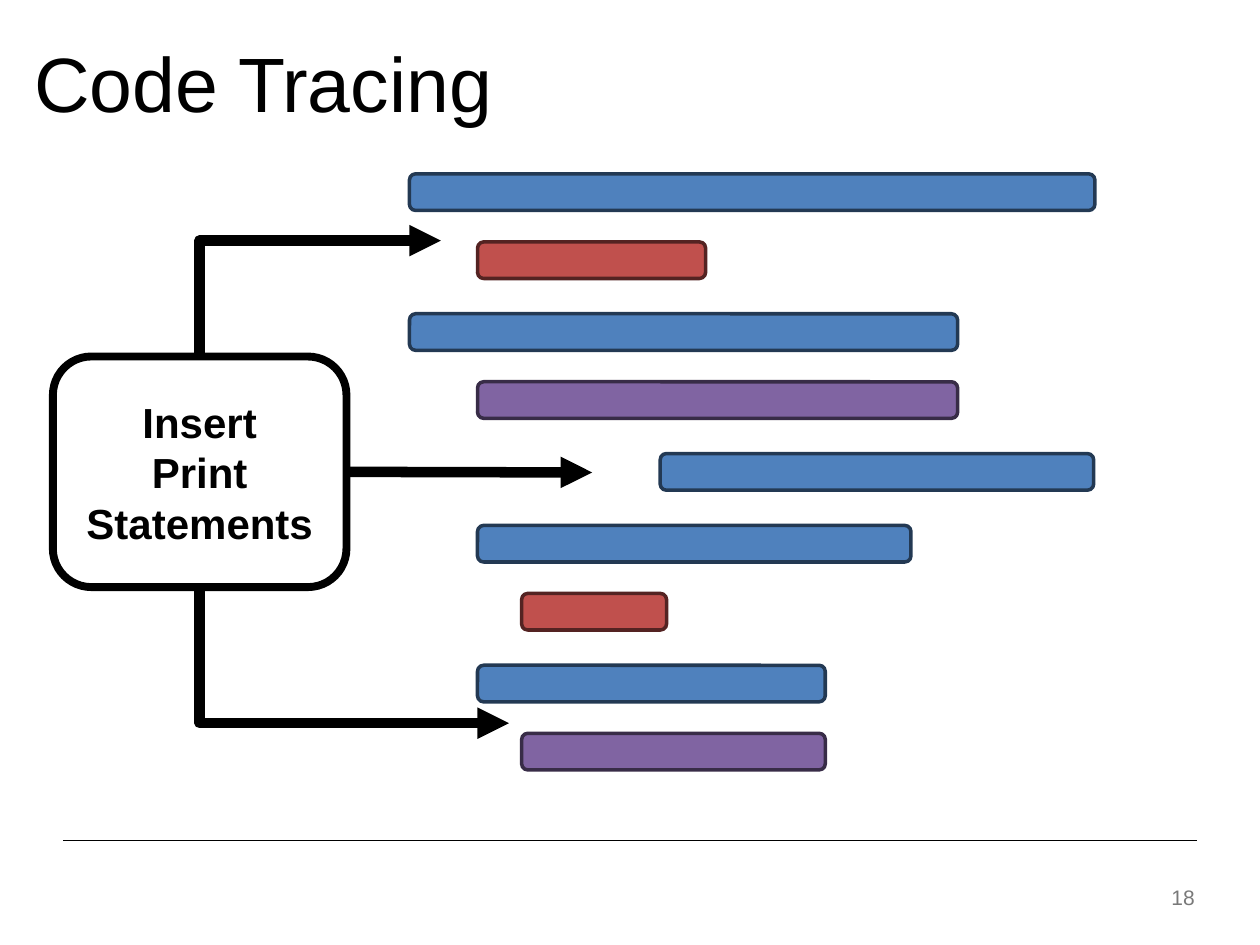
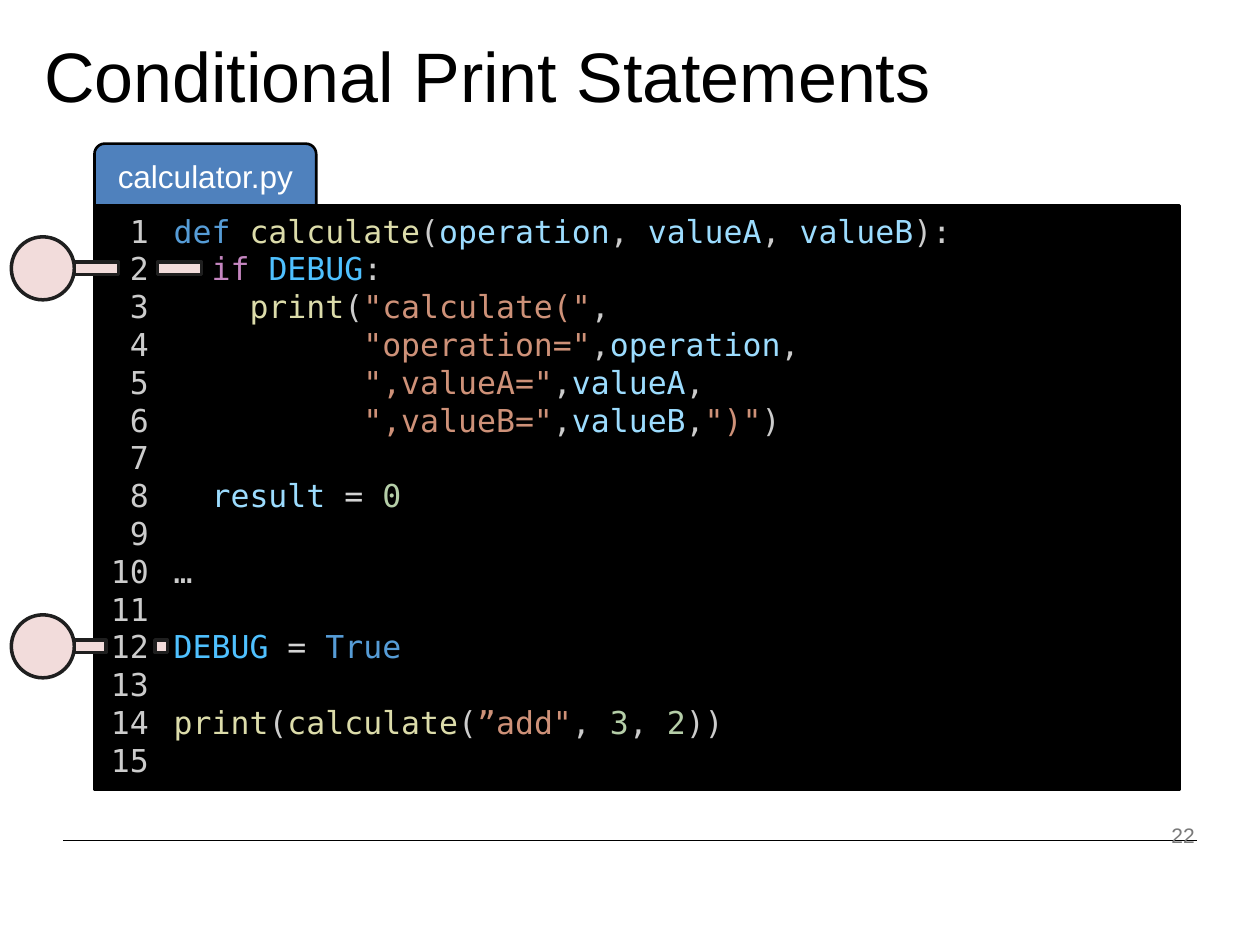
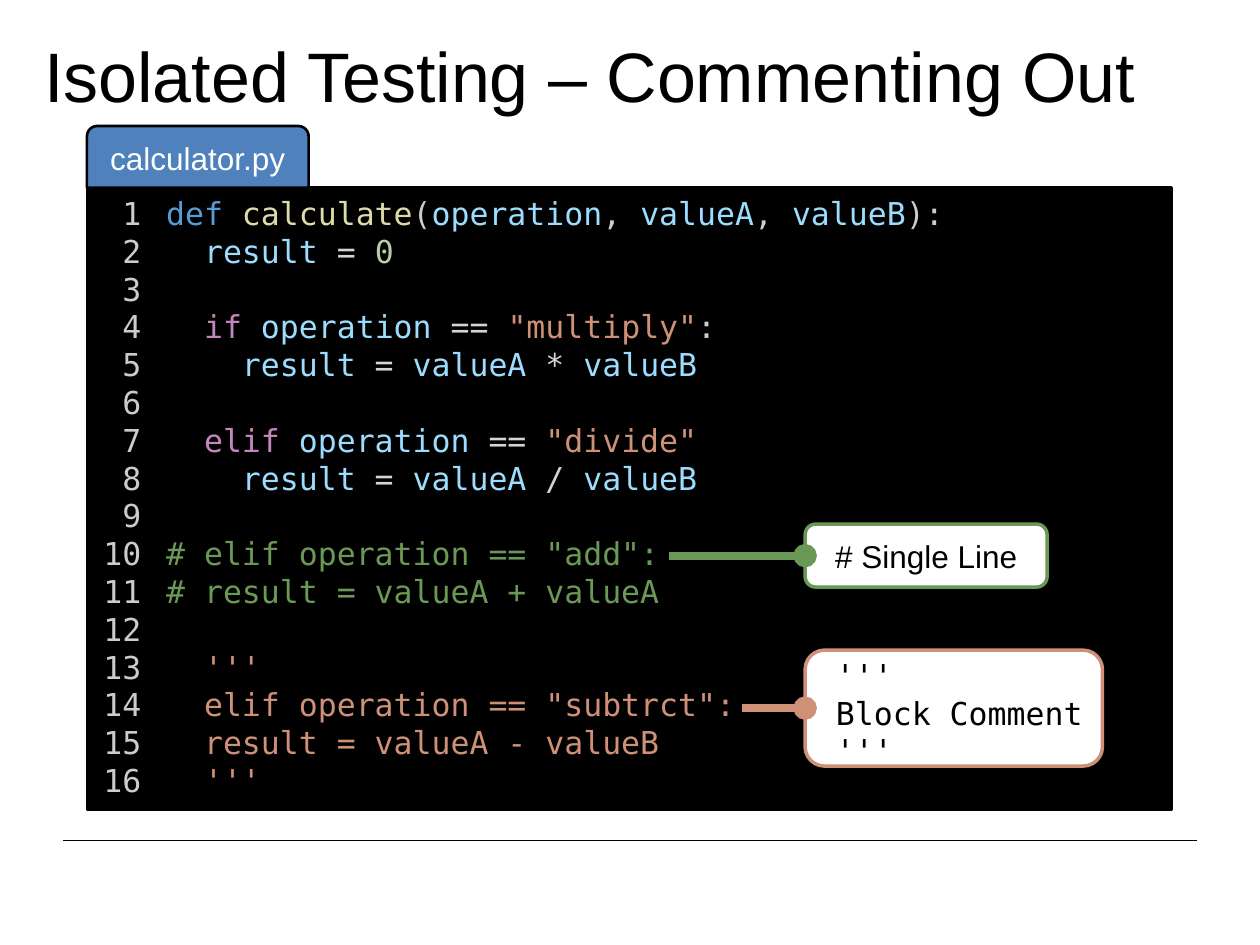
from dataclasses import dataclass

from lxml import etree
from pptx import Presentation
from pptx import util as u
from pptx.dml import color
from pptx.enum import shapes, text
from pptx.oxml import ns


@dataclass(frozen=True)
class Theme:
    sans: str = "Arial"
    mono: str = "DejaVu Sans Mono"
    black: str = "000000"
    white: str = "FFFFFF"
    blue: str = "4F81BD"
    number: str = "797979"
    pin: str = "F2DCDB"
    pin_edge: str = "1F1F1F"
    body_size: int = 18
    note_size: int = 24
    number_size: int = 12
    leading: float = 1.2


THEME = Theme()
SHAPE = shapes.MSO_SHAPE
ALIGN = text.PP_ALIGN
ANCHOR = text.MSO_ANCHOR

BAR_COLOURS = {
    "blue": (THEME.blue, "233953"),
    "red": ("C0504D", "542322"),
    "purple": ("8064A2", "382C47"),
}
SYNTAX = {
    "keyword": "569CD6", "function": "DCDCAA", "plain": "CCCCCC",
    "name": "9CDCFE", "flow": "C586C0", "constant": "4FC1FF",
    "string": "CE9178", "operator": "D4D4D4", "value": "B5CEA8",
    "comment": "6A9955",
}

TRACED_BARS = [
    ("blue", 3.25, 5.44), ("red", 3.79, 1.81), ("blue", 3.25, 4.35),
    ("purple", 3.79, 3.81), ("blue", 5.24, 3.44), ("blue", 3.79, 3.44),
    ("red", 4.14, 1.15), ("blue", 3.79, 2.76), ("purple", 4.14, 2.41),
]
BAR_TOP, BAR_HEIGHT, CHILD_STEP, NEXT_STEP = 1.38, 0.29, 0.54, 0.57
PRINT_BOX = (0.42, 2.83, 2.33, 1.83)
PRINT_ARROWS = [(3.5, 1.91, 0), (4.04, 5.74, 2), (4.7, 3.75, 3)]
ELBOW_SIDES = (0, 2)

SIGNATURE = [
    ("keyword", "def "), ("function", "calculate"), ("plain", "("),
    ("name", "operation"), ("plain", ", "), ("name", "valueA"),
    ("plain", ", "), ("name", "valueB"), ("plain", "):"),
]
RESULT_ZERO = [("name", "  result "), ("operator", "= "), ("value", "0")]


def argument(label, name):
    return [("string", f'          "{label}="'), ("plain", ","),
            ("name", name), ("plain", ",")]


def branch(keyword, operation):
    return [("flow", f"  {keyword} "), ("name", "operation "),
            ("operator", "== "), ("string", f'"{operation}"')]


def assign(symbol):
    return [("name", "    result "), ("operator", "= "), ("name", "valueA "),
            ("operator", f"{symbol} "), ("name", "valueB")]


DEBUG_CODE = [
    SIGNATURE,
    [("flow", "  if "), ("constant", "DEBUG"), ("plain", ":")],
    [("function", "    print"), ("plain", "("), ("string", '"calculate("'),
     ("plain", ",")],
    argument("operation", "operation"),
    argument(",valueA", "valueA"),
    argument(",valueB", "valueB") + [("string", '")"'), ("plain", ")")],
    [],
    RESULT_ZERO,
    [],
    [("plain", "…")],
    [],
    [("constant", "DEBUG "), ("operator", "= "), ("keyword", "True")],
    [],
    [("function", "print"), ("plain", "("), ("function", "calculate"),
     ("plain", "("), ("string", '”add"'), ("plain", ", "), ("value", "3"),
     ("plain", ", "), ("value", "2"), ("plain", "))")],
    [],
]
PIN_BARS = {2: [(0.59, 0.35), (1.25, 0.35)], 12: [(0.59, 0.25), (1.23, 0.1)]}
PIN_LEFT, PIN_SIZE, PIN_BAR = 0.09, 0.5, 0.1

COMMENT_CODE = [
    SIGNATURE,
    RESULT_ZERO,
    [],
    branch("if", "multiply") + [("plain", ":")],
    assign("*"),
    [],
    branch("elif", "divide"),
    assign("/"),
    [],
    [("comment", '# elif operation == "add":')],
    [("comment", "# result = valueA + valueA")],
    [],
    [("string", "  '''")],
    [("string", '  elif operation == "subtrct":')],
    [("string", "  result = valueA - valueB")],
    [("string", "  '''")],
]

ROW, INSET = 0.3, 0.05
NUMBER_WIDTH, CODE_WIDTH, TAB_WIDTH, TAB_HEIGHT = 0.53, 8.08, 1.76, 0.49


def inches(values):
    return [u.Inches(value) for value in values]


def rgb(value):
    return color.RGBColor.from_string(value)


def style(font, size, colour, name=THEME.sans, bold=False):
    font.name, font.size, font.bold = name, u.Pt(size), bold
    font.color.rgb = rgb(colour)


def add_box(slide, kind, at, fill, edge, width):
    box = slide.shapes.add_shape(kind, *inches(at))
    box.shadow.inherit = False
    box.fill.solid()
    box.fill.fore_color.rgb = rgb(fill)
    box.line.color.rgb = rgb(edge)
    box.line.width = u.Pt(width)
    return box


def write(frame, lines, size, colour, name=THEME.sans, align=ALIGN.CENTER,
          anchor=ANCHOR.MIDDLE, bold=False):
    frame.word_wrap = True
    frame.vertical_anchor = anchor
    frame.text = "\n".join(lines)
    for para in frame.paragraphs:
        para.alignment = align
        if len(lines) > 1:
            para.line_spacing = u.Pt(size * THEME.leading)
        for span in para.runs:
            style(span.font, size, colour, name, bold)


def write_code(frame, lines):
    frame.word_wrap = True
    frame.vertical_anchor = ANCHOR.TOP
    para, blanks = frame.paragraphs[0], 0
    for index, line in enumerate(lines):
        if not line:
            blanks += 1
            continue
        if index:
            para = frame.add_paragraph()
        para.alignment = ALIGN.LEFT
        leading = THEME.body_size * THEME.leading
        para.line_spacing = u.Pt(leading)
        para.space_before = u.Pt(blanks * leading)
        blanks = 0
        for role, words in line:
            span = para.add_run()
            span.text = words
            style(span.font, THEME.body_size, SYNTAX[role], THEME.mono)


def add_line(slide, start, end, colour, width, ends=(),
             kind=shapes.MSO_CONNECTOR.STRAIGHT):
    line = slide.shapes.add_connector(kind, *inches(start + end))
    line.line.color.rgb = rgb(colour)
    line.line.width = u.Pt(width)
    properties = line.element.spPr
    outline = properties.find(ns.qn("a:ln"))
    for tag, cap in ends:
        etree.SubElement(outline, ns.qn(tag)).set("type", cap)
    etree.SubElement(properties, ns.qn("a:effectLst"))
    return line


def add_page(deck, title, at, size, number=None, number_top=None):
    page = deck.slides.add_slide(deck.slide_layouts[5])
    heading = page.shapes.title
    heading.left, heading.top, heading.width, heading.height = inches(at)
    frame = heading.text_frame
    write(frame, [title], size, THEME.black, align=ALIGN.LEFT, anchor=ANCHOR.TOP)
    frame.auto_size = text.MSO_AUTO_SIZE.NONE
    frame.margin_top = u.Inches(0.11)
    if number:
        box = page.shapes.add_textbox(*inches((7.33, number_top, 2.25, 0.4)))
        write(box.text_frame, [number], THEME.number_size, THEME.number,
              align=ALIGN.RIGHT)
    return page


def add_footer_rule(page):
    rule = add_line(page, (0.5, 6.67), (9.5, 6.67), THEME.black, 0.5)
    page.slide_layout.shapes.element.append(rule.element)


def add_editor(page, left, top, code):
    height = ROW * len(code) + 0.14
    source = add_box(page, SHAPE.RECTANGLE,
                     (left + NUMBER_WIDTH, top, CODE_WIDTH, height),
                     THEME.black, THEME.black, 1.5)
    write_code(source.text_frame, code)
    gutter = add_box(page, SHAPE.RECTANGLE, (left, top, NUMBER_WIDTH, height),
                     THEME.black, THEME.black, 1.5)
    numbers = [str(row) for row in range(1, len(code) + 1)]
    write(gutter.text_frame, numbers, THEME.body_size, SYNTAX["plain"],
          THEME.mono, ALIGN.RIGHT, ANCHOR.TOP)
    tab = add_box(page, SHAPE.ROUND_2_SAME_RECTANGLE,
                  (left, top - TAB_HEIGHT, TAB_WIDTH, TAB_HEIGHT),
                  THEME.blue, THEME.black, 1.5)
    write(tab.text_frame, ["calculator.py"], THEME.body_size, THEME.white)


def build_tracing(deck):
    page = add_page(deck, "Code Tracing", (0.17, 0.17, 9.42, 0.84), 44,
                    "18", 6.92)
    add_footer_rule(page)
    top = BAR_TOP
    for index, (name, left, width) in enumerate(TRACED_BARS):
        if index:
            top += NEXT_STEP if name == "blue" else CHILD_STEP
        add_box(page, SHAPE.ROUNDED_RECTANGLE, (left, top, width, BAR_HEIGHT),
                *BAR_COLOURS[name], 2)
    box = add_box(page, SHAPE.ROUNDED_RECTANGLE, PRINT_BOX, THEME.white,
                  THEME.black, 4.5)
    write(box.text_frame, ["Insert", "Print Statements"], THEME.note_size,
          THEME.black, bold=True)
    for x, y, side in PRINT_ARROWS:
        elbow = side in ELBOW_SIDES
        kind = (shapes.MSO_CONNECTOR.ELBOW if elbow
                else shapes.MSO_CONNECTOR.STRAIGHT)
        arrow = add_line(page, (x, y), (x, y), THEME.black, 6,
                         [("a:headEnd", "triangle")], kind)
        arrow.end_connect(box, side)
        if elbow:
            arrow.element.spPr.find(ns.qn("a:prstGeom")).set(
                "prst", "bentConnector2")


def build_conditional(deck):
    page = add_page(deck, "Conditional Print Statements",
                    (0.25, 0.15, 8.42, 0.77), 40, "22", 6.43)
    top = 1.63
    add_editor(page, 0.75, top, DEBUG_CODE)
    for row, bars in PIN_BARS.items():
        middle = top + INSET + ROW * (row - 0.5)
        parts = [(SHAPE.OVAL, PIN_LEFT, PIN_SIZE, PIN_SIZE)]
        parts += [(SHAPE.RECTANGLE, left, width, PIN_BAR)
                  for left, width in bars]
        for kind, left, width, height in parts:
            add_box(page, kind, (left, middle - height / 2, width, height),
                    THEME.pin, THEME.pin_edge, 2)


def build_commenting(deck):
    page = add_page(deck, "Isolated Testing – Commenting Out",
                    (0.25, 0.15, 9.17, 0.77), 40)
    add_editor(page, 0.69, 1.49, COMMENT_CODE)
    single = add_box(page, SHAPE.ROUNDED_RECTANGLE, (6.39, 4.16, 1.92, 0.5),
                     THEME.white, SYNTAX["comment"], 2)
    write(single.text_frame, ["# Single Line"], THEME.body_size, THEME.black)
    block = add_box(page, SHAPE.ROUNDED_RECTANGLE, (6.39, 5.16, 2.36, 0.92),
                    THEME.white, SYNTAX["string"], 2)
    frame = block.text_frame
    write(frame, ["'''", "Block Comment", "'''"], THEME.body_size,
          THEME.black, THEME.mono, ALIGN.LEFT, ANCHOR.TOP)
    frame.margin_left = u.Inches(0.2)
    frame.margin_top = frame.margin_right = frame.margin_bottom = 0
    for box, start, role in ((single, (5.31, 4.41), "comment"),
                             (block, (5.89, 5.62), "string")):
        line = add_line(page, start, start, SYNTAX[role], 4.5,
                        [("a:tailEnd", "oval")])
        line.end_connect(box, 1)


def main():
    deck = Presentation()
    deck.slide_width, deck.slide_height = inches((10, 7.5))
    build_tracing(deck)
    build_conditional(deck)
    build_commenting(deck)
    deck.save("out.pptx")


if __name__ == "__main__":
    main()
